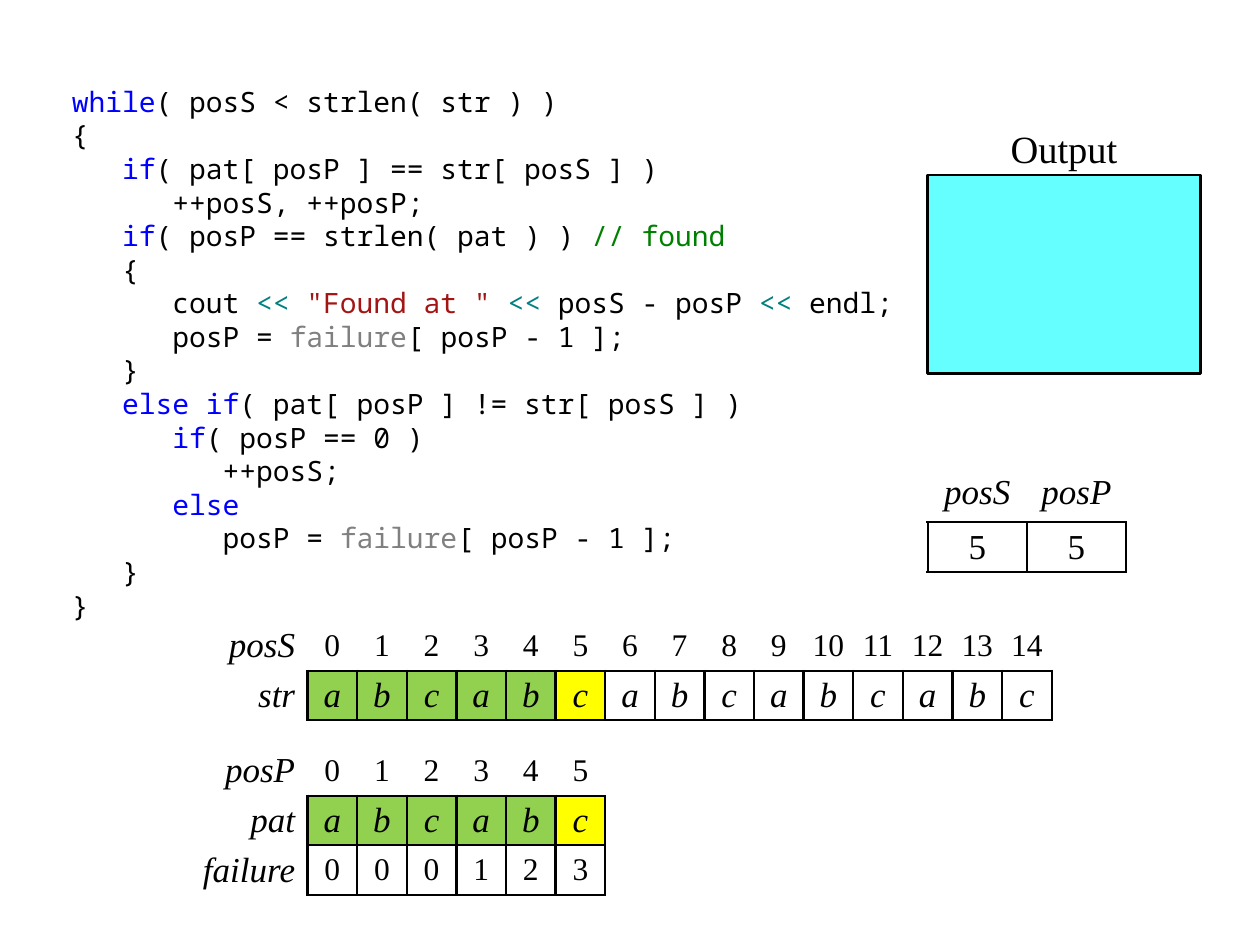
from lxml.etree import SubElement
from pptx import Presentation
from pptx.dml.color import RGBColor
from pptx.enum.shapes import MSO_SHAPE
from pptx.enum.text import MSO_ANCHOR, PP_ALIGN
from pptx.oxml.ns import qn
from pptx.util import Cm, Pt

COLORS = {
    "ink": "000000", "key": "0000FF", "note": "008000", "op": "008080",
    "text": "A31515", "dim": "808080", "match": "92D050", "now": "FFFF00",
    "screen": "66FFFF",
}
SERIF = "Times New Roman"
MONO = "Noto Sans Mono"
PLAIN = "{2D5ABB26-0587-4C30-8999-92F81FD0307C}"
SHIFT = ("<< ", "op")
CODE = [
    [("while", "key"), "( posS < strlen( str ) )"],
    ["{"],
    ["   ", ("if", "key"), "( pat[ posP ] == str[ posS ] )"],
    ["      ++posS, ++posP;"],
    ["   ", ("if", "key"), "( posP == strlen( pat ) ) ", ("// found", "note")],
    ["   {"],
    ["      cout ", SHIFT, ('"Found at " ', "text"), SHIFT, "posS - posP ", SHIFT, "endl;"],
    ["      posP = ", ("failure", "dim"), "[ posP - 1 ];"],
    ["   }"],
    ["   ", ("else if", "key"), "( pat[ posP ] != str[ posS ] )"],
    ["      ", ("if", "key"), "( posP == 0 )"],
    ["         ++posS;"],
    ["      ", ("else", "key")],
    ["         posP = ", ("failure", "dim"), "[ posP - 1 ];"],
    ["   }"],
    ["}"],
]


def tint(name):
    return RGBColor.from_string(COLORS[name])


def style(para, face, size, slant=False):
    font = para.font
    font.name, font.size, font.italic = face, Pt(size), slant
    font.color.rgb = tint("ink")


def add_box(slide, x, y, w, h, pads):
    frame = slide.shapes.add_textbox(Cm(x), Cm(y), Cm(w), Cm(h)).text_frame
    frame.word_wrap = True
    frame.margin_left, frame.margin_top, frame.margin_right, frame.margin_bottom = map(Cm, pads)
    return frame


def add_code(slide, x, y, w, h):
    frame = add_box(slide, x, y, w, h, (0.25, 0.13, 0.1, 0.13))
    for row, line in enumerate(CODE):
        para = frame.add_paragraph() if row else frame.paragraphs[0]
        style(para, MONO, 16)
        para.line_spacing = Pt(19.2)
        for part in line:
            text, tone = (part, "ink") if isinstance(part, str) else part
            run = para.add_run()
            run.text = text
            run.font.color.rgb = tint(tone)


def add_edges(cell, sides):
    props = cell._tc.get_or_add_tcPr()
    for side in "LRTB":
        if side in sides:
            line = SubElement(props, qn("a:ln" + side), w=str(Pt(1.5)))
            fill = SubElement(line, qn("a:solidFill"))
            SubElement(fill, qn("a:srgbClr"), val=COLORS["ink"])


def fill_cell(cell, text, size, label, pad, fill):
    cell.margin_left = cell.margin_right = Cm(pad)
    cell.margin_top = cell.margin_bottom = 0
    cell.vertical_anchor = MSO_ANCHOR.MIDDLE
    para = cell.text_frame.paragraphs[0]
    para.text = text
    para.alignment = PP_ALIGN.RIGHT if label else PP_ALIGN.CENTER
    style(para, SERIF, size if text.isdigit() else 20, not text.isdigit())
    if fill:
        cell.fill.solid()
        cell.fill.fore_color.rgb = tint(fill)
    else:
        cell.fill.background()


def add_grid(slide, x, y, widths, rows, size, pad, labels=1, matched=0):
    shape = slide.shapes.add_table(
        len(rows), len(widths), Cm(x), Cm(y), Cm(sum(widths)), Cm(len(rows)))
    table = shape.table
    table.first_row = table.horz_banding = False
    table._tbl.tblPr.find(qn("a:tableStyleId")).text = PLAIN
    for col, width in enumerate(widths):
        table.columns[col].width = Cm(width)
    for r, row in enumerate(rows):
        table.rows[r].height = Cm(1)
        for c, text in enumerate(row):
            cell = table.cell(r, c)
            label = c < labels
            if label:
                add_edges(cell, "R" if r else "")
            else:
                add_edges(cell, "LRTB" if r else "B")
            fill = None
            if matched and r == 1 and labels <= c <= matched + labels:
                fill = "now" if c == matched + labels else "match"
            fill_cell(cell, text, size, label, 0.25 if label else pad, fill)
    return table


def add_screen(slide, x, y, w, h):
    shape = slide.shapes.add_shape(MSO_SHAPE.RECTANGLE, Cm(x), Cm(y), Cm(w), Cm(h))
    shape.shadow.inherit = False
    shape.fill.solid()
    shape.fill.fore_color.rgb = tint("screen")
    shape.line.color.rgb = tint("ink")
    shape.line.width = Pt(1.5)


def add_title(slide, text, x, y, w, h):
    para = add_box(slide, x, y, w, h, (0.25, 0, 0.25, 0.13)).paragraphs[0]
    para.text = text
    para.alignment = PP_ALIGN.CENTER
    style(para, SERIF, 22)


def count(size):
    return [str(n) for n in range(size)]


def main():
    deck = Presentation()
    deck.slide_width, deck.slide_height = Cm(25.4), Cm(19.05)
    slide = deck.slides.add_slide(deck.slide_layouts[6])

    add_code(slide, 1.2, 1.57, 17, 11)
    add_grid(slide, 4.2, 12.52, [2] + [1] * 15,
             [["posS", *count(15)], ["str", *"abc" * 5]], 18, 0.1, matched=5)
    state = add_grid(slide, 18.7, 9.53, [2, 2],
                     [["posS", "posP"], ["5", "5"]], 20, 0, labels=0)
    for cell in state.rows[0].cells:
        cell.vertical_anchor = MSO_ANCHOR.TOP
    add_grid(slide, 3.7, 15.04, [2.5] + [1] * 6,
             [["posP", *count(6)], ["pat", *"abcabc"], ["failure", *"000123"]],
             18, 0.25, matched=5)
    add_screen(slide, 18.7, 3.53, 5.5, 4)
    add_title(slide, "Output", 19.7, 2.53, 3.5, 1)

    deck.save("out.pptx")


if __name__ == "__main__":
    main()
